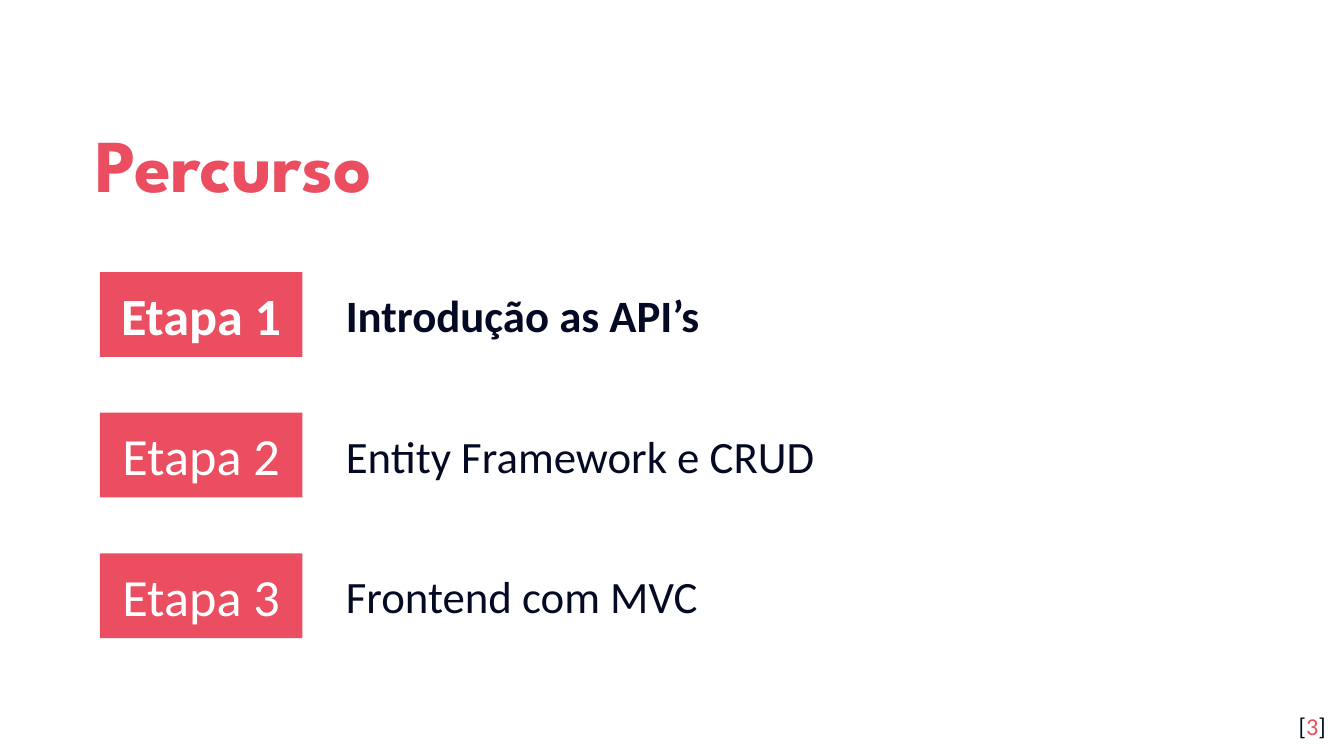
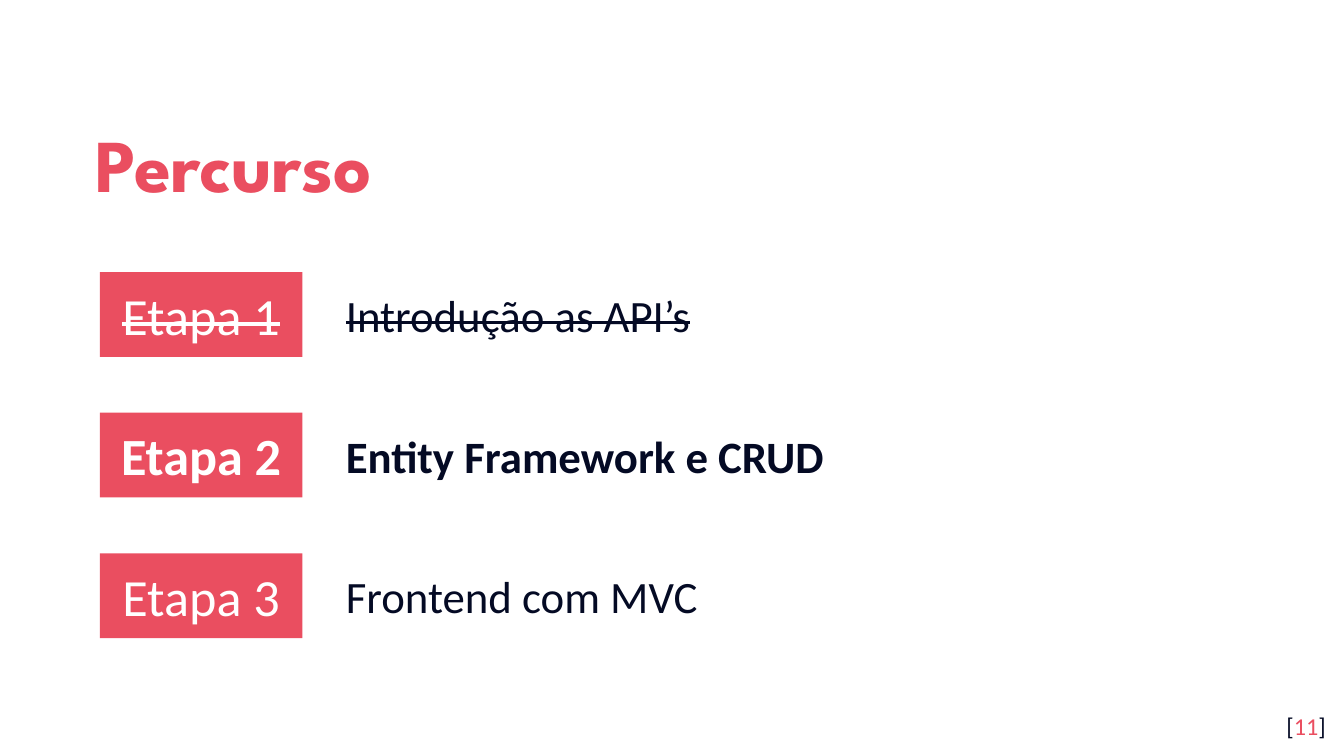
import pptx
import pptx.dml.color
import pptx.enum.shapes
import pptx.enum.text
import pptx.util

RGBColor = pptx.dml.color.RGBColor
ALIGN = pptx.enum.text.PP_ALIGN
ANCHOR = pptx.enum.text.MSO_ANCHOR
Inches = pptx.util.Inches

# Shared style
CORAL = RGBColor(0xEA, 0x4E, 0x60)
NAVY = RGBColor(0x04, 0x0A, 0x24)
WHITE = RGBColor(0xFF, 0xFF, 0xFF)
BODY_FONT = "Calibri"
TITLE_FONT = "League Spartan"
PAD = 0.13

# Step grid, in inches
ROW_TOP, ROW_PITCH = 2.7, 1.395
BADGE_LEFT, BADGE_W, BADGE_H = 0.99, 2.01, 0.84
TOPIC_LEFT, TOPIC_W, TOPIC_H = 3.3, 9.47, 0.67

STEPS = ["Introdução as API’s", "Entity Framework e CRUD", "Frontend com MVC"]


def write(sp, *parts, size, font=BODY_FONT, color=NAVY, bold=False, strike=False,
          align=ALIGN.LEFT, anchor=ANCHOR.TOP, pad_y=PAD, spacing=None):
    """Fill a shape with one paragraph; a part is text or (text, color)."""
    tf = sp.text_frame
    tf.word_wrap = True
    tf.vertical_anchor = anchor
    tf.margin_left = tf.margin_right = Inches(PAD)
    tf.margin_top = tf.margin_bottom = Inches(pad_y)
    p = tf.paragraphs[0]
    p.alignment = align
    p.line_spacing = spacing
    for part in parts:
        text, part_color = part if isinstance(part, tuple) else (part, color)
        r = p.add_run()
        r.text = text
        r.font.size = pptx.util.Pt(size)
        r.font.name = font
        r.font.bold = bold
        r.font.color.rgb = part_color
        if strike:
            r._r.get_or_add_rPr().set("strike", "sngStrike")


def add_text(slide, box, *parts, **fmt):
    write(slide.shapes.add_textbox(*map(Inches, box)), *parts, **fmt)


def add_badge(slide, box, text, **fmt):
    rect = pptx.enum.shapes.MSO_SHAPE.RECTANGLE
    sp = slide.shapes.add_shape(rect, *map(Inches, box))
    sp.shadow.inherit = False
    sp.fill.solid()
    sp.fill.fore_color.rgb = CORAL
    sp.line.fill.background()
    write(sp, text, size=37.3, color=WHITE, align=ALIGN.CENTER,
          anchor=ANCHOR.MIDDLE, **fmt)


def add_step(slide, number, topic, current):
    """The current step is bold, finished steps are struck through."""
    state = {"bold": number == current, "strike": number < current}
    top = ROW_TOP + (number - 1) * ROW_PITCH
    add_badge(slide, (BADGE_LEFT, top, BADGE_W, BADGE_H), f"Etapa {number}", **state)
    topic_top = top + (BADGE_H - TOPIC_H) / 2
    add_text(slide, (TOPIC_LEFT, topic_top, TOPIC_W, TOPIC_H), topic,
             size=32, pad_y=0.07, **state)


def add_route_slide(prs, current, page):
    slide = prs.slides.add_slide(prs.slide_layouts[6])
    # Title
    add_text(slide, (0.82, 0.93, 10.81, 1.23), "Percurso", size=53.3,
             font=TITLE_FONT, color=CORAL, bold=True, anchor=ANCHOR.MIDDLE,
             spacing=1.15)
    # Steps
    for number, topic in enumerate(STEPS, start=1):
        add_step(slide, number, topic, current)
    # Page number
    add_text(slide, (12.48, 6.93, 0.8, 0.57), "[", (str(page), CORAL), "]",
             size=17.3, align=ALIGN.RIGHT)


def main():
    prs = pptx.Presentation()
    prs.slide_width, prs.slide_height = Inches(13.33), Inches(7.5)
    add_route_slide(prs, current=1, page=3)
    add_route_slide(prs, current=2, page=11)
    prs.save("out.pptx")


main()
